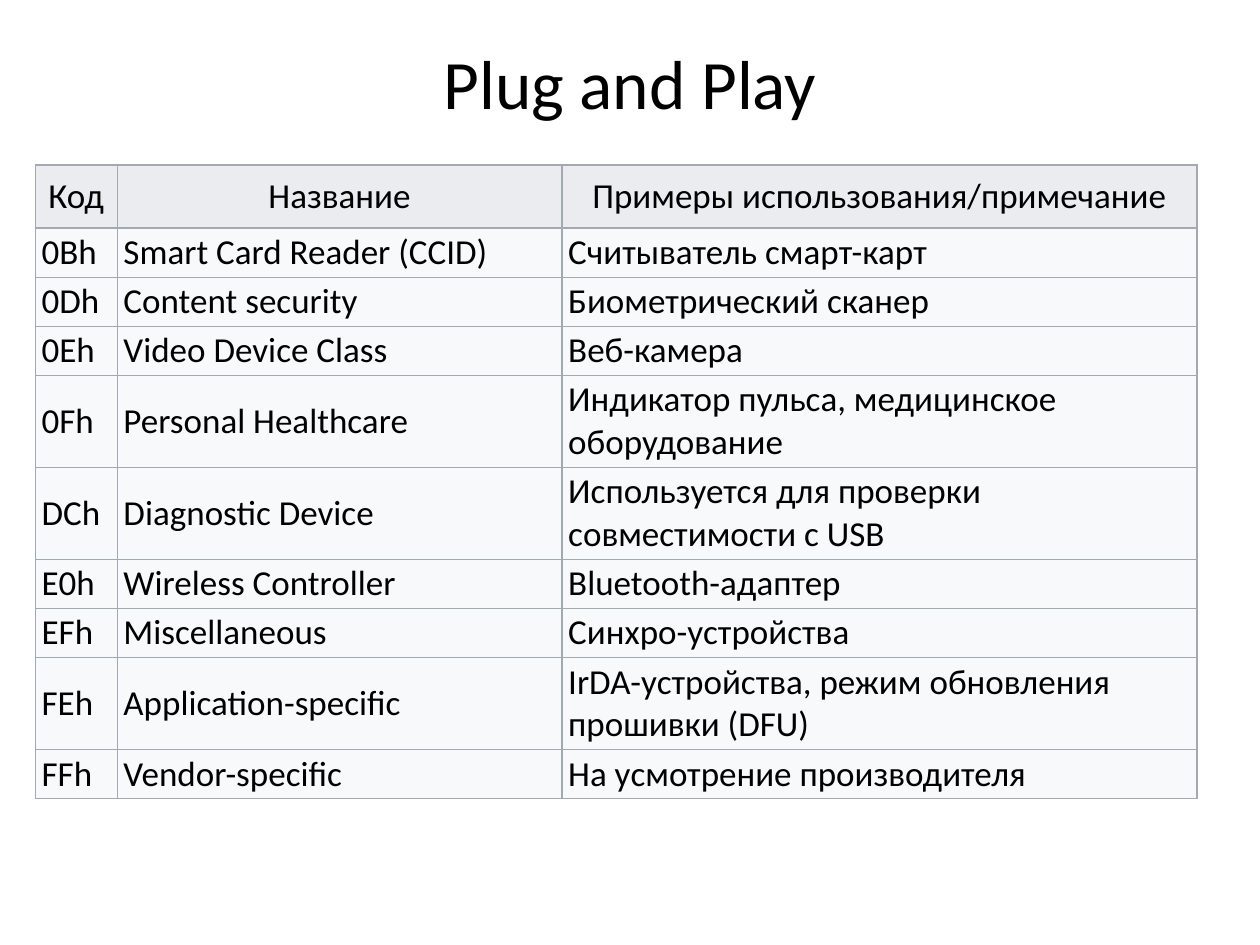
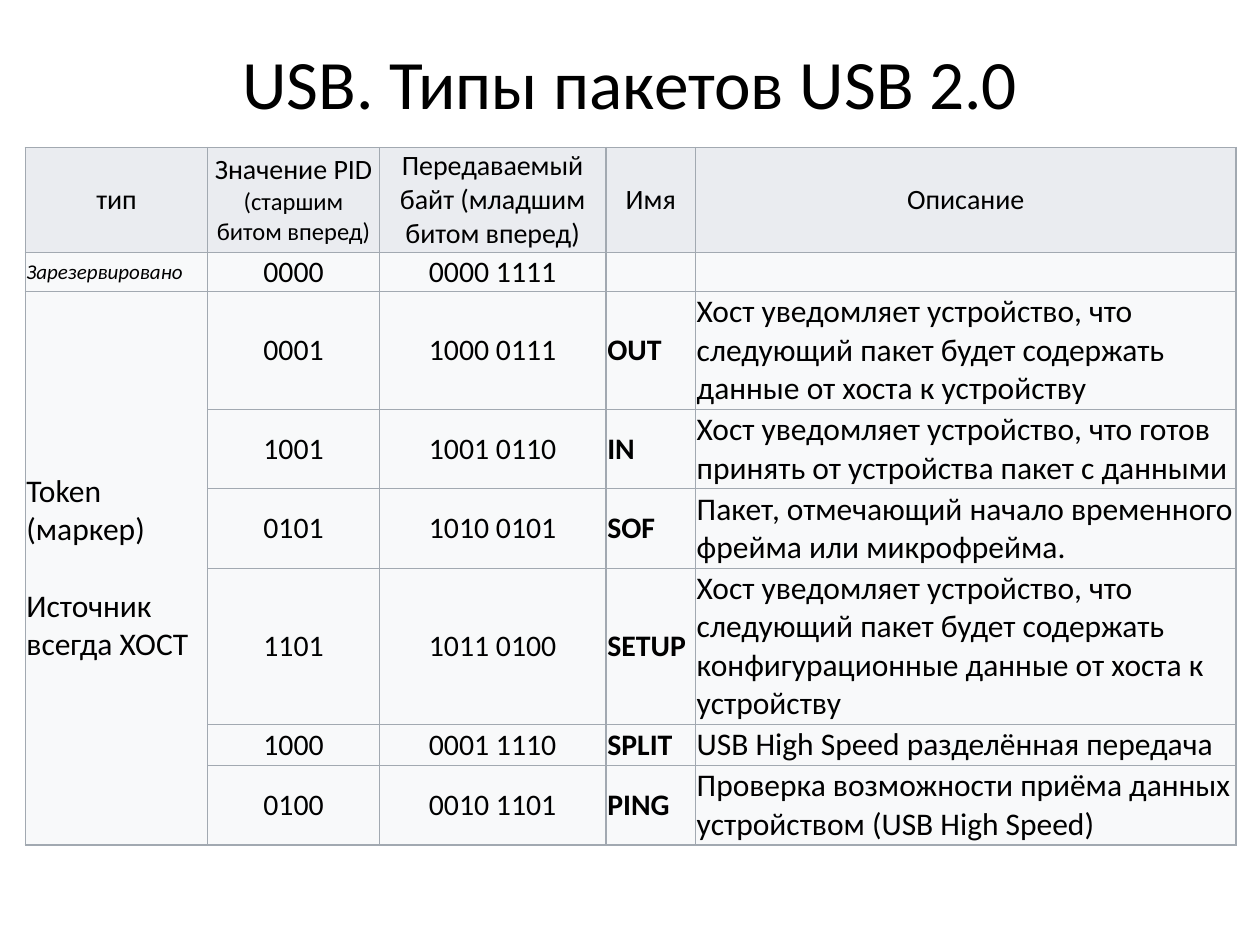
from dataclasses import dataclass

from lxml.etree import SubElement
from pptx import Presentation
from pptx.dml.color import RGBColor
from pptx.enum.text import MSO_ANCHOR as Anchor, MSO_AUTO_SIZE as AutoSize, PP_ALIGN as Align
from pptx.oxml.ns import qn
from pptx.util import Inches, Pt


@dataclass(frozen=True)
class Theme:
    font: str = "Calibri"
    text: str = "000000"
    page: str = "FFFFFF"
    head_fill: str = "EAECF0"
    body_fill: str = "F8F9FA"
    border: str = "A2A9B1"
    border_width: float = 0.75
    title_size: float = 39.6
    large: int = 20
    body: int = 18
    code: int = 17
    head: int = 16
    small: int = 14
    tiny: int = 12


THEME = Theme()
TITLE_BOX = (0.69, 0.4, 8.62, 0.5)

# A column style is (alignment, font format).
LARGE = (Align.LEFT, {"size": THEME.large})
CODE = (Align.CENTER, {"size": THEME.code})
NAME = (Align.LEFT, {"size": THEME.code, "bold": True})
BODY = (Align.LEFT, {"size": THEME.body})

# A cell is a string, or a list of (text, font format) spans.
DEVICE_CLASSES = {
    "title": "Plug and Play",
    "corner": (0.28, 1.31),
    "widths": [0.65, 3.53, 5.04],
    "heights": [0.5, 0.39, 0.39, 0.39, 0.73, 0.73, 0.39, 0.39, 0.73, 0.39],
    "margins": (0.05, 0.02),
    "head_size": THEME.large,
    "columns": [LARGE, LARGE, LARGE],
    "rows": [
        ["Код", "Название", "Примеры использования/примечание"],
        ["0Bh", "Smart Card Reader (CCID)", "Считыватель смарт-карт"],
        ["0Dh", "Content security", "Биометрический сканер"],
        ["0Eh", "Video Device Class", "Веб-камера"],
        ["0Fh", "Personal Healthcare", "Индикатор пульса, медицинское оборудование"],
        ["DCh", "Diagnostic Device", "Используется для проверки совместимости с USB"],
        ["E0h", "Wireless Controller", "Bluetooth-адаптер"],
        ["EFh", "Miscellaneous", "Синхро-устройства"],
        ["FEh", "Application-specific", "IrDA-устройства, режим обновления прошивки (DFU)"],
        ["FFh", "Vendor-specific", "На усмотрение производителя"],
    ],
}

PACKET_TYPES = {
    "title": "USB. Типы пакетов USB 2.0",
    "corner": (0.2, 1.17),
    "widths": [1.45, 1.36, 1.8, 0.71, 4.29],
    "heights": [0.83, 0.3, 0.93, 0.63, 0.63, 1.23, 0.32, 0.62],
    "margins": (0.01, 0.01),
    "head_size": THEME.head,
    "columns": [BODY, CODE, CODE, NAME, BODY],
    "rows": [
        ["тип",
         [("Значение PID ", {}), ("(старшим битом вперед)", {"size": THEME.small})],
         "Передаваемый байт (младшим битом вперед)", "Имя", "Описание"],
        [[("Зарезервировано", {"size": THEME.tiny, "italic": True})],
         "0000", "0000 1111", "", ""],
        ["Token\n(маркер)\nИсточник всегда ХОСТ", "0001", "1000 0111", "OUT",
         "Хост уведомляет устройство, что следующий пакет будет содержать "
         "данные от хоста к устройству"],
        ["", "1001", "1001 0110", "IN",
         "Хост уведомляет устройство, что готов принять от устройства пакет с данными"],
        ["", "0101", "1010 0101", "SOF",
         "Пакет, отмечающий начало временного фрейма или микрофрейма."],
        ["", "1101", "1011 0100", "SETUP",
         "Хост уведомляет устройство, что следующий пакет будет содержать "
         "конфигурационные данные от хоста к устройству"],
        ["", "1000", "0001 1110", "SPLIT", "USB High Speed разделённая передача"],
        ["", "0100", "0010 1101", "PING",
         "Проверка возможности приёма данных устройством (USB High Speed)"],
    ],
}


def format_font(font, size, **values):
    for name, value in {"name": THEME.font, "size": Pt(size), **values}.items():
        setattr(font, name, value)
    font.color.rgb = RGBColor.from_string(THEME.text)


def add_title(page, text):
    title = page.shapes.title
    for name, value in zip(("left", "top", "width", "height"), TITLE_BOX):
        setattr(title, name, Inches(value))
    frame = title.text_frame
    frame.text = text
    frame.auto_size = AutoSize.NONE
    frame.vertical_anchor = Anchor.MIDDLE
    para = frame.paragraphs[0]
    para.alignment = Align.CENTER
    format_font(para.runs[0].font, THEME.title_size)


def add_borders(cell):
    """Draw all four edges; they must precede the fill in the cell properties."""
    properties = cell._tc.get_or_add_tcPr()
    for index, edge in enumerate(("a:lnL", "a:lnR", "a:lnT", "a:lnB")):
        line = SubElement(properties, qn(edge), w=str(Pt(THEME.border_width)))
        fill = SubElement(line, qn("a:solidFill"))
        SubElement(fill, qn("a:srgbClr"), val=THEME.border)
        properties.insert(index, line)


def fill_cell(cell, content, style, fill, margins):
    alignment, base = style
    across, down = map(Inches, margins)
    layout = {"margin_left": across, "margin_right": across, "margin_top": down,
              "margin_bottom": down, "vertical_anchor": Anchor.MIDDLE}
    for name, value in layout.items():
        setattr(cell, name, value)
    cell.fill.solid()
    cell.fill.fore_color.rgb = RGBColor.from_string(fill)
    add_borders(cell)

    if isinstance(content, str):
        lines = [[(text, {})] for text in content.split("\n")]
    else:
        lines = [content]
    for index, spans in enumerate(lines):
        para = cell.text_frame.add_paragraph() if index else cell.text_frame.paragraphs[0]
        para.alignment = alignment
        for text, changes in spans:
            if text:
                span = para.add_run()
                span.text = text
                format_font(span.font, **{**base, **changes})
            else:
                SubElement(para._p, qn("a:endParaRPr"), sz=str(base["size"] * 50))


def add_grid(page, data):
    widths, heights = data["widths"], data["heights"]
    left, top = data["corner"]
    table = page.shapes.add_table(
        len(heights), len(widths), Inches(left), Inches(top),
        Inches(sum(widths)), Inches(sum(heights))).table
    table.first_row = table.horz_banding = False
    for column, width in zip(table.columns, widths):
        column.width = Inches(width)
    for row, height in zip(table.rows, heights):
        row.height = Inches(height)

    head = (Align.CENTER, {"size": data["head_size"]})
    for r, contents in enumerate(data["rows"]):
        for c, content in enumerate(contents):
            style = data["columns"][c] if r else head
            fill = THEME.body_fill if r else THEME.head_fill
            fill_cell(table.cell(r, c), content, style, fill, data["margins"])
    return table


def add_table_page(deck, data):
    page = deck.slides.add_slide(deck.slide_layouts[5])
    page.background.fill.solid()
    page.background.fill.fore_color.rgb = RGBColor.from_string(THEME.page)
    add_title(page, data["title"])
    return add_grid(page, data)


def main():
    deck = Presentation()
    deck.slide_width, deck.slide_height = Inches(10), Inches(7.5)
    add_table_page(deck, DEVICE_CLASSES)
    packets = add_table_page(deck, PACKET_TYPES)
    token = packets.cell(2, 0)
    token.merge(packets.cell(7, 0))
    token.text_frame.paragraphs[-1].space_before = Pt(22)
    deck.save("out.pptx")


if __name__ == "__main__":
    main()
